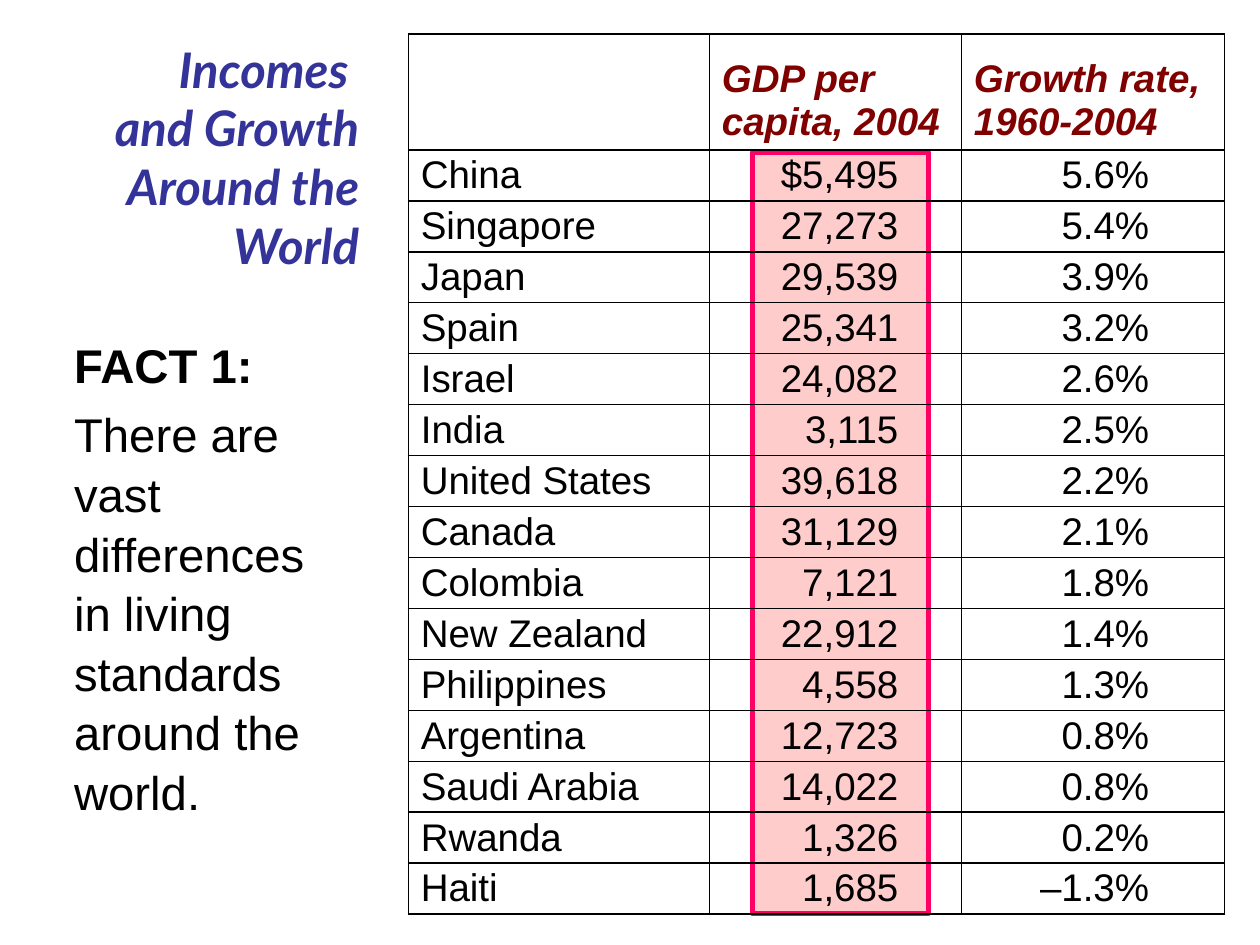
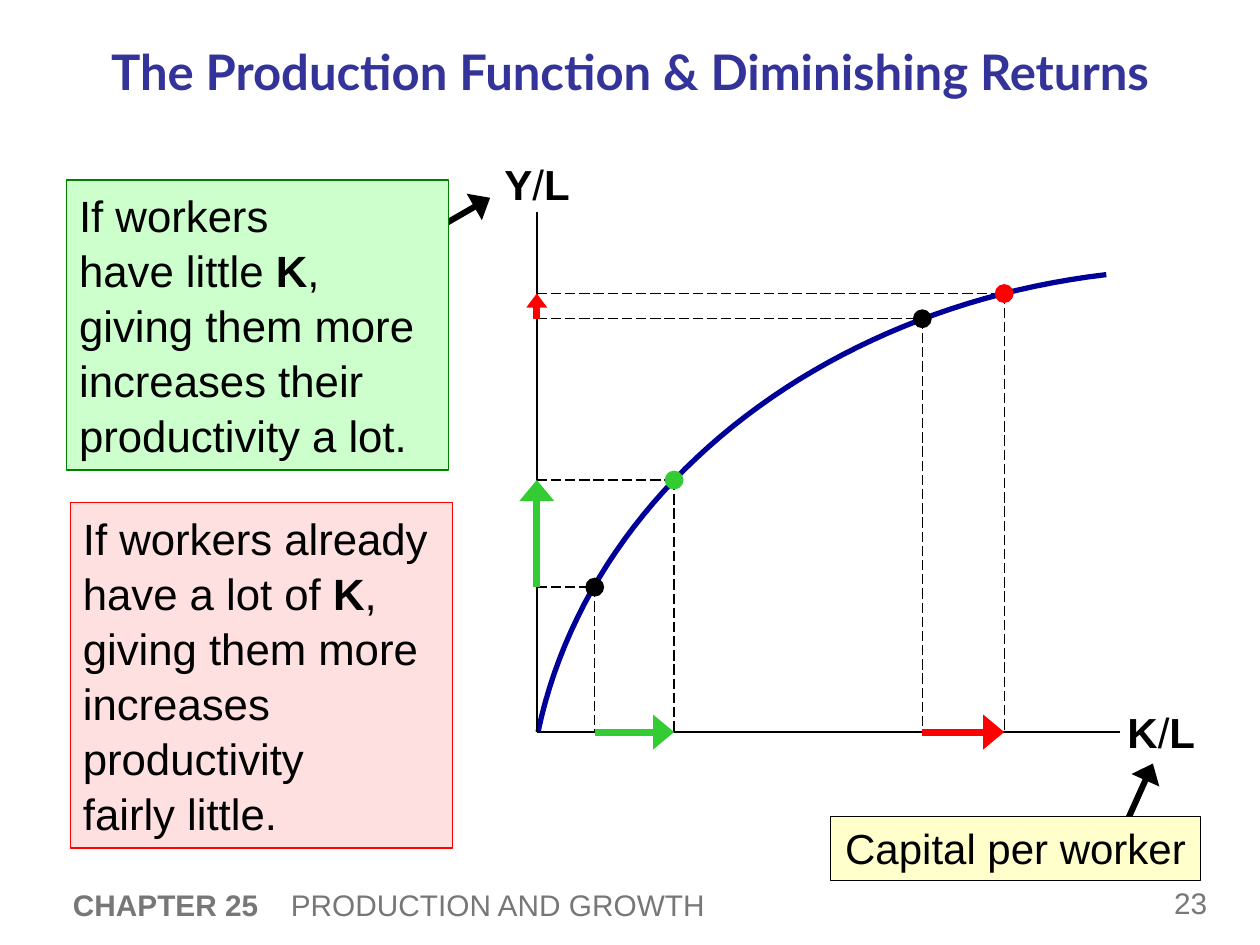
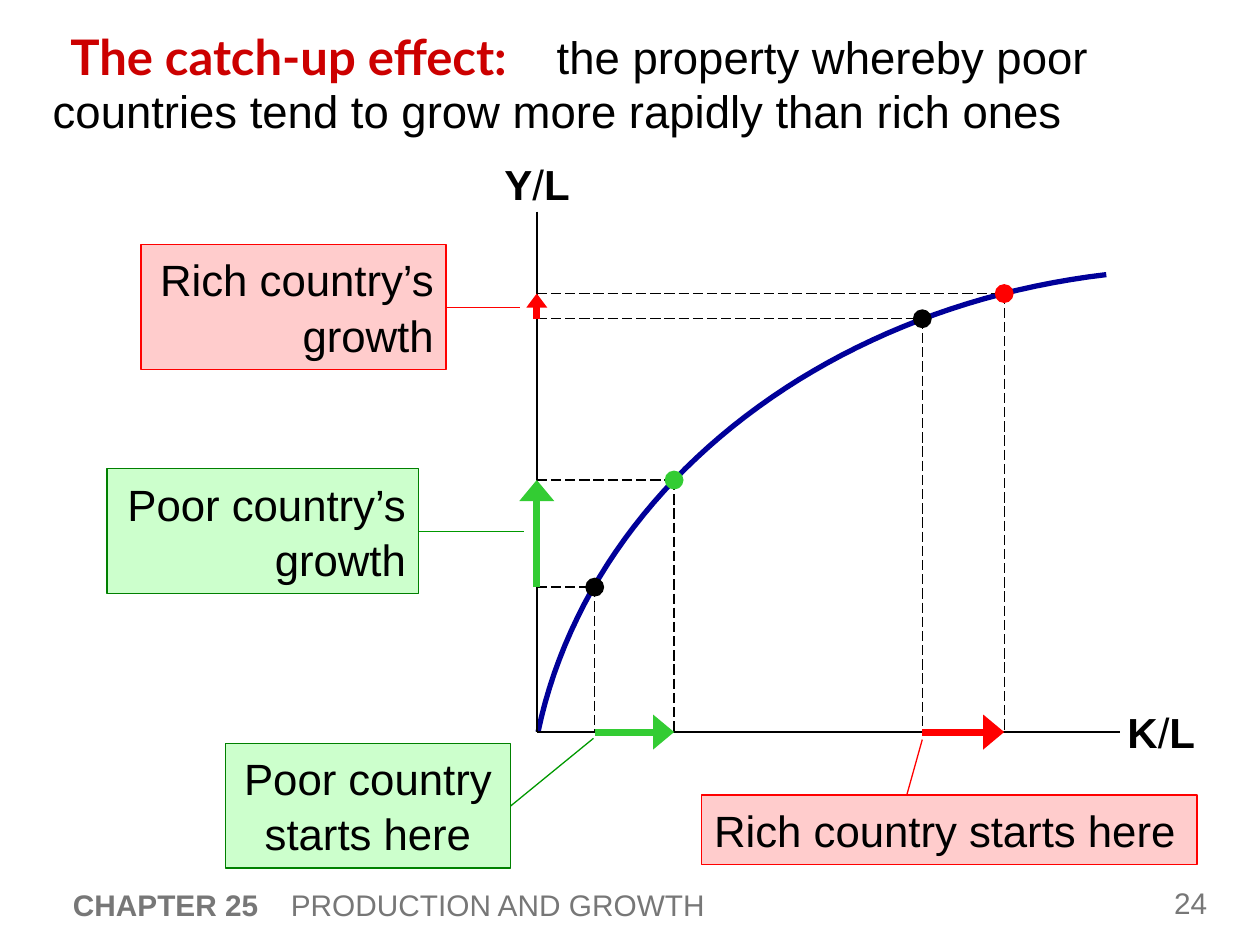
from dataclasses import dataclass

from lxml import etree
from pptx import Presentation
from pptx import util as u
from pptx.dml.color import RGBColor
from pptx.enum import dml, shapes, text
from pptx.oxml import ns

LEFT, MID, RIGHT = text.PP_ALIGN.LEFT, text.PP_ALIGN.CENTER, text.PP_ALIGN.RIGHT
TOP, CENTRE = text.MSO_ANCHOR.TOP, text.MSO_ANCHOR.MIDDLE


@dataclass(frozen=True)
class Theme:
    body: str = "Arial"
    head: str = "Lato"
    ink: str = "000000"
    title: str = "333399"
    term: str = "CC0000"
    header: str = "800000"
    gray: str = "777777"
    curve: str = "000099"
    green: str = "33CC33"
    mint: str = "CCFFCC"
    forest: str = "008000"
    leader: str = "009900"
    red: str = "FF0000"
    pink: str = "FFCCCC"
    rose: str = "FF0066"
    cream: str = "FFFFCC"
    big: int = 28
    fact: int = 27
    lead: int = 26
    note: int = 25
    label: int = 24
    cell: int = 22
    foot: int = 17
    loose: float = 1.05


T = Theme()

GROWTH = [
    ("China", "$5,495", "5.6%"),
    ("Singapore", "27,273", "5.4%"),
    ("Japan", "29,539", "3.9%"),
    ("Spain", "25,341", "3.2%"),
    ("Israel", "24,082", "2.6%"),
    ("India", "3,115", "2.5%"),
    ("United States", "39,618", "2.2%"),
    ("Canada", "31,129", "2.1%"),
    ("Colombia", "7,121", "1.8%"),
    ("New Zealand", "22,912", "1.4%"),
    ("Philippines", "4,558", "1.3%"),
    ("Argentina", "12,723", "0.8%"),
    ("Saudi Arabia", "14,022", "0.8%"),
    ("Rwanda", "1,326", "0.2%"),
    ("Haiti", "1,685", "–1.3%"),
]

# Axes origin, the curve's Bezier points, and the marked states on it
X0, Y0 = 4.26, 5.81
BEZIER = [(4.27, 5.81), (4.67, 3.91), (6.49, 2.45), (8.78, 2.18)]
POOR, POOR_UP = (4.72, 4.66), (5.35, 3.81)
RICH, RICH_UP = (7.32, 2.53), (7.97, 2.33)

# Arrowhead width and length
WIDE, SMALL = ("lg", "med"), ("med", "sm")


def rgb(color):
    return RGBColor.from_string(color)


def inches(*vals):
    return [u.Inches(v) for v in vals]


# ---- Text ----
def write(para, words, size, color=T.ink, font=T.body, bold=False,
          italic=False, align=LEFT, space=None):
    """Fill a paragraph; *stars* switch bold, newlines break the line."""
    para.alignment = align
    if space:
        para.line_spacing = space
    for i, part in enumerate(words.split("*")):
        for j, bit in enumerate(part.split("\n")):
            if j:
                para.add_line_break()
            if bit:
                run = para.add_run()
                run.text = bit
                run.font.size, run.font.name = u.Pt(size), font
                run.font.bold, run.font.italic = bold or i % 2 == 1, italic
                run.font.color.rgb = rgb(color)


def add_text(slide, at, words, size, anchor=TOP, **style):
    frame = slide.shapes.add_textbox(*inches(*at)).text_frame
    frame.word_wrap = True
    frame.vertical_anchor = anchor
    write(frame.paragraphs[0], words, size, **style)
    return frame


def add_title(slide, at, words, color=T.title, align=MID, italic=False,
              anchor=CENTRE):
    shape = slide.shapes.title
    shape.left, shape.top, shape.width, shape.height = inches(*at)
    frame = shape.text_frame
    frame.word_wrap = True
    frame.auto_size = text.MSO_AUTO_SIZE.NONE
    frame.vertical_anchor = anchor
    write(frame.paragraphs[0], words, T.big, color, T.head, True, italic, align)


def add_footer(slide, page):
    add_text(slide, (9.22, 6.96, 0.67, 0.41), page, T.foot, CENTRE, color=T.gray)
    frame = add_text(slide, (0.48, 6.96, 8.59, 0.44),
                     "*CHAPTER 25*\tPRODUCTION AND GROWTH", T.foot, CENTRE,
                     color=T.gray)
    props = frame.paragraphs[0]._p.get_or_add_pPr()
    tabs = etree.SubElement(props, ns.qn("a:tabLst"))
    etree.SubElement(tabs, ns.qn("a:tab"), pos=str(u.Inches(1.73)), algn="l")


# ---- Shapes and lines ----
def add_shape(slide, at, fill, line=None, width=0.75, alpha=None,
              kind=shapes.MSO_SHAPE.RECTANGLE):
    shape = slide.shapes.add_shape(kind, *inches(*at))
    shape.shadow.inherit = False
    shape.fill.solid()
    shape.fill.fore_color.rgb = rgb(fill)
    if alpha:
        tint = shape._element.spPr.find(".//" + ns.qn("a:srgbClr"))
        etree.SubElement(tint, ns.qn("a:alpha"), val=str(alpha * 1000))
    if line:
        shape.line.color.rgb = rgb(line)
        shape.line.width = u.Pt(width)
    else:
        shape.line.fill.background()
    return shape


def add_note(slide, at, words, fill, line, size=T.note, align=LEFT,
             space=T.loose, alpha=None):
    frame = add_shape(slide, at, fill, line, alpha=alpha).text_frame
    frame.word_wrap = True
    frame.vertical_anchor = TOP
    write(frame.paragraphs[0], words, size, align=align, space=space)


def add_line(slide, start, end, color=T.ink, width=0.75, dash=False, head=None):
    line = slide.shapes.add_connector(shapes.MSO_CONNECTOR.STRAIGHT,
                                      *inches(*start, *end))
    line.line.color.rgb = rgb(color)
    line.line.width = u.Pt(width)
    if dash:
        line.line.dash_style = dml.MSO_LINE.LONG_DASH
    props = line._element.spPr
    if head:
        etree.SubElement(props.find(ns.qn("a:ln")), ns.qn("a:tailEnd"),
                         type="triangle", w=head[0], len=head[1])
    etree.SubElement(props, ns.qn("a:effectLst"))


# ---- Growth table ----
def frame_cell(cell):
    cell.fill.background()
    props = cell._tc.get_or_add_tcPr()
    for i, side in enumerate(("lnL", "lnR", "lnT", "lnB")):
        edge = etree.Element(ns.qn("a:" + side), w=str(u.Pt(1)))
        fill = etree.SubElement(edge, ns.qn("a:solidFill"))
        etree.SubElement(fill, ns.qn("a:srgbClr"), val=T.ink)
        props.insert(i, edge)


def add_table(slide):
    top, high = 0.92, 6.99
    grid = slide.shapes.add_table(len(GROWTH) + 1, 3,
                                  *inches(3.24, 0.27, 6.48, high)).table
    grid.first_row = grid.horz_banding = False
    for col, width in zip(grid.columns, (2.39, 2, 2.09)):
        col.width = u.Inches(width)
    for row in grid.rows:
        row.height = u.Inches((high - top) / len(GROWTH))
    grid.rows[0].height = u.Inches(top)

    heads = ("", "GDP per capita, 2004", "Growth rate, 1960-2004")
    for c, words in enumerate(heads):
        cell = grid.cell(0, c)
        frame_cell(cell)
        cell.vertical_anchor = text.MSO_ANCHOR.BOTTOM
        write(cell.text_frame.paragraphs[0], words, T.cell, T.header,
              bold=True, italic=True)
    for r, row in enumerate(GROWTH, 1):
        for c, words in enumerate(row):
            cell = grid.cell(r, c)
            frame_cell(cell)
            cell.vertical_anchor = CENTRE
            cell.margin_top = cell.margin_bottom = 0
            cell.margin_right = u.Inches((0.1, 0.5, 0.6)[c])
            write(cell.text_frame.paragraphs[0], words, T.cell,
                  align=RIGHT if c else LEFT)


# ---- Production function diagram ----
def add_curve(slide, steps=48):
    pts = []
    for i in range(steps + 1):
        t = i / steps
        mix = ((1 - t) ** 3, 3 * t * (1 - t) ** 2, 3 * t * t * (1 - t), t ** 3)
        pts.append(inches(*(sum(m * p[k] for m, p in zip(mix, BEZIER))
                            for k in (0, 1))))
    path = slide.shapes.build_freeform(*pts[0])
    path.add_line_segments(pts[1:], close=False)
    curve = path.convert_to_shape()
    curve.shadow.inherit = False
    curve.fill.background()
    curve.line.color.rgb = rgb(T.curve)
    curve.line.width = u.Pt(3)


def add_point(slide, spot, color, size=0.15):
    x, y = spot
    add_line(slide, (X0, y), spot, dash=True)
    add_line(slide, spot, (x, Y0), dash=True)
    add_shape(slide, (x - size / 2, y - size / 2, size, size), color,
              kind=shapes.MSO_SHAPE.OVAL)


def add_diagram(slide):
    add_curve(slide)
    add_line(slide, (X0, 1.68), (X0, Y0), width=1)
    add_line(slide, (X0, Y0), (8.89, Y0), width=1)
    add_text(slide, (8.85, 5.56, 0.83, 0.5), "*K*/*L*", T.label)
    add_text(slide, (3.88, 1.21, 0.74, 0.5), "*Y*/*L*", T.label, align=RIGHT)
    moves = ((POOR, POOR_UP, T.green, WIDE), (RICH, RICH_UP, T.red, SMALL))
    for old, new, color, _ in moves:
        add_point(slide, old, T.ink)
        add_point(slide, new, color)
    for old, new, color, rise in moves:
        add_line(slide, (old[0], Y0), (new[0], Y0), color, 4, head=WIDE)
        add_line(slide, (X0, old[1]), (X0, new[1]), color, 4, head=rise)


# ---- Slides ----
def incomes(slide):
    add_title(slide, (0.38, 0.26, 2.57, 2.01),
              "Incomes \nand Growth Around the World", align=RIGHT, italic=True,
              anchor=TOP)
    add_shape(slide, (5.97, 1.21, 1.4, 6.04), T.pink, T.rose, 3)
    add_table(slide)
    frame = add_text(slide, (0.49, 2.6, 2.26, 4.11), "*FACT 1:*", T.fact,
                     space=T.loose)
    para = frame.add_paragraph()
    para.space_before = u.Pt(5.4)
    write(para, "There are vast differences \nin living standards around the world.",
          T.fact, space=T.loose)


def returns(slide):
    add_title(slide, (0, 0.15, 10, 0.83),
              "The Production Function & Diminishing Returns")
    add_footer(slide, "23")
    add_line(slide, (3.18, 1.98), (3.89, 1.57), width=3.5, head=WIDE)
    add_diagram(slide)
    add_line(slide, (8.93, 6.55), (9.15, 6.06), width=3.5, head=WIDE)
    add_note(slide, (6.59, 6.48, 2.94, 0.51), "Capital per worker", T.cream,
             T.ink, T.label, MID, None)
    add_note(slide, (0.53, 1.43, 3.03, 2.3),
             "If workers \nhave little *K*, \ngiving them more increases their "
             "productivity a lot.", T.mint, T.forest)
    add_note(slide, (0.56, 3.99, 3.03, 2.74),
             "If workers already have a lot of *K*, \ngiving them more increases "
             "productivity \nfairly little.", T.pink, T.red, alpha=60)


def catchup(slide):
    add_title(slide, (0.12, 0.11, 4.34, 0.67), "The catch-up effect:", T.term)
    add_footer(slide, "24")
    frame = add_text(slide, (0.32, 0.18, 9.12, 0.97),
                     "the property whereby poor countries tend to grow more "
                     "rapidly than rich ones", T.lead)
    # First line starts after the title
    frame.paragraphs[0]._p.get_or_add_pPr().set("indent", str(u.Inches(4)))
    add_diagram(slide)
    poor, rich = (T.mint, T.forest, T.leader), (T.pink, T.red, T.red)
    calls = [
        ("Poor country starts here", (1.79, 5.9, 2.26, 0.99), MID, poor,
         (4, 6.44), (4.71, 5.86)),
        ("Rich country starts here", (5.57, 6.31, 3.93, 0.55), LEFT, rich,
         (7.18, 6.37), (7.32, 5.87)),
        ("Poor country’s growth", (0.85, 3.72, 2.47, 0.99), RIGHT, poor,
         (3.23, 4.22), (4.16, 4.22)),
        ("Rich country’s growth", (1.12, 1.94, 2.42, 0.99), RIGHT, rich,
         (3.19, 2.44), (4.13, 2.44)),
    ]
    for words, at, align, (fill, edge, leader), start, end in calls:
        add_line(slide, start, end, leader)
        add_note(slide, at, words, fill, edge, align=align)


def main():
    deck = Presentation()
    deck.slide_width, deck.slide_height = inches(10, 7.5)
    layout = deck.slide_layouts.get_by_name("Title Only")
    for build in (incomes, returns, catchup):
        build(deck.slides.add_slide(layout))
    deck.save("out.pptx")


if __name__ == "__main__":
    main()
